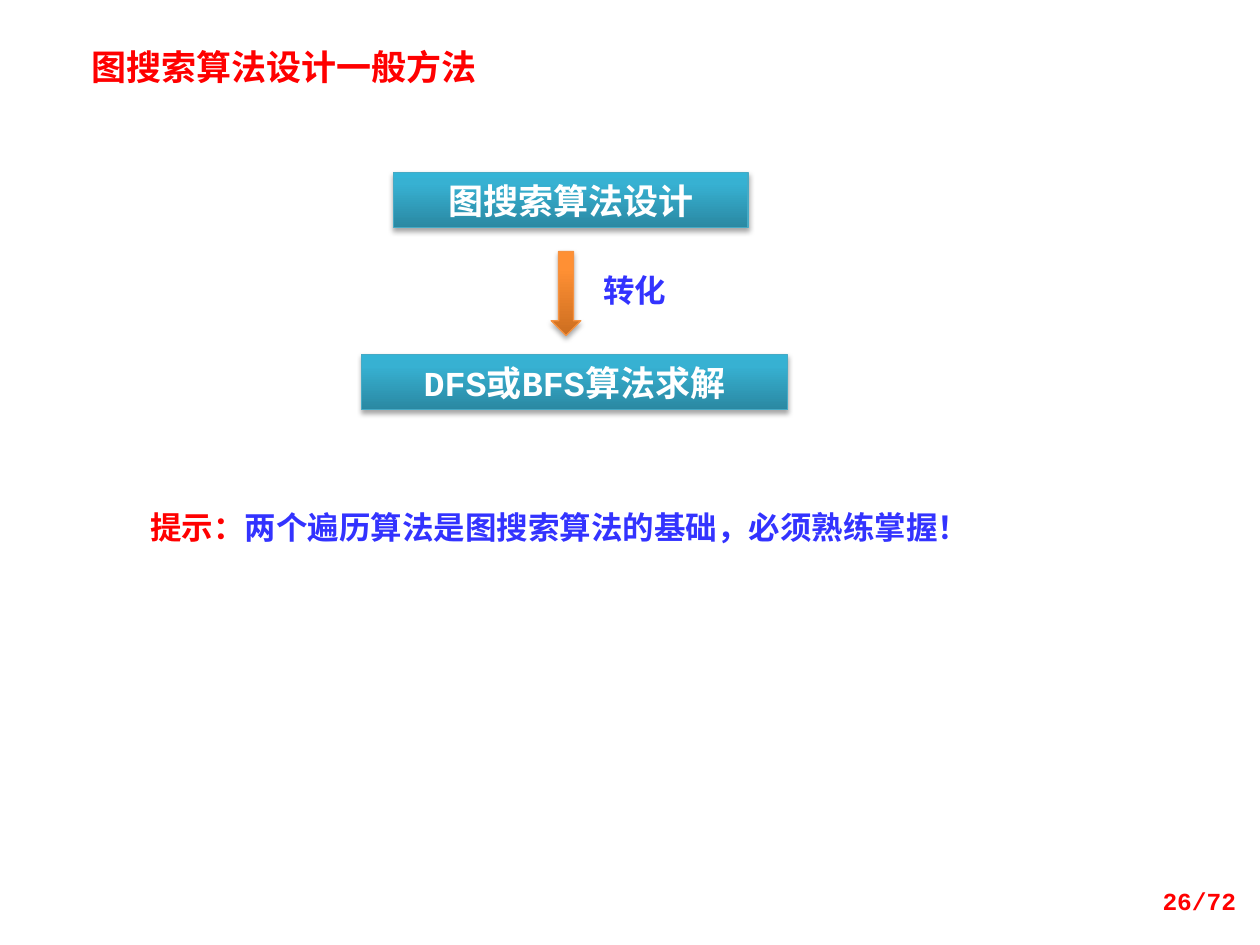
from lxml import etree
from pptx import Presentation
from pptx.dml.color import RGBColor
from pptx.enum.shapes import MSO_SHAPE
from pptx.enum.text import MSO_ANCHOR, MSO_AUTO_SIZE, PP_ALIGN
from pptx.oxml.ns import qn
from pptx.util import Pt

RECT, DOWN_ARROW = MSO_SHAPE.RECTANGLE, MSO_SHAPE.DOWN_ARROW
TOP, MIDDLE = MSO_ANCHOR.TOP, MSO_ANCHOR.MIDDLE
LEFT, CENTER, RIGHT = PP_ALIGN.LEFT, PP_ALIGN.CENTER, PP_ALIGN.RIGHT
FIT_SHAPE, NO_FIT = MSO_AUTO_SIZE.SHAPE_TO_FIT_TEXT, MSO_AUTO_SIZE.NONE

RED = RGBColor(0xFF, 0x00, 0x00)
BLUE = RGBColor(0x33, 0x33, 0xFF)
WHITE = RGBColor(0xFF, 0xFF, 0xFF)
BLACK = RGBColor(0x00, 0x00, 0x00)
TEAL_LINE = RGBColor(0x46, 0xAA, 0xC5)
TEAL_STOPS = [(0, RGBColor(0x2A, 0x88, 0xA2)), (80, RGBColor(0x37, 0xB1, 0xD2)),
              (100, RGBColor(0x34, 0xB4, 0xD6))]
ORANGE_LINE = RGBColor(0xF6, 0x92, 0x40)
ORANGE_STOPS = [(0, RGBColor(0xCC, 0x6E, 0x20)), (80, RGBColor(0xFF, 0x90, 0x34)),
                (100, RGBColor(0xFF, 0x91, 0x36))]

MONO, SANS = "Courier New", "Noto Sans CJK SC"


def write(sp, runs, size, font, align=LEFT, anchor=TOP, fit=FIT_SHAPE):
    """Fill a shape with one bold paragraph of (text, colour) runs."""
    tf = sp.text_frame
    frame_format = {"word_wrap": True, "auto_size": fit, "vertical_anchor": anchor}
    for name, value in frame_format.items():
        setattr(tf, name, value)
    p = tf.paragraphs[0]
    p.alignment = align
    for text, color in runs:
        r = p.add_run()
        r.text = text
        for name, value in {"name": font, "size": Pt(size), "bold": True}.items():
            setattr(r.font, name, value)
        r.font.color.rgb = color
        ea = etree.SubElement(r.font._element, qn("a:ea"))
        ea.set("typeface", SANS)


def add_glossy(kind, box, stops, line):
    """Add a shape with a vertical gradient and a soft shadow below it."""
    sp = s.shapes.add_shape(kind, *map(Pt, box))
    sp.fill.gradient()
    sp.fill.gradient_angle = 90
    sp.line.color.rgb = line
    sp.line.width = Pt(0.75)
    sp.shadow.inherit = False
    spPr = sp._element.spPr
    gs_list = spPr.find(qn("a:gradFill")).find(qn("a:gsLst"))
    for gs in list(gs_list):
        gs_list.remove(gs)
    for percent, color in stops:
        gs = etree.SubElement(gs_list, qn("a:gs"), pos=str(percent * 1000))
        etree.SubElement(gs, qn("a:srgbClr"), val=str(color))
    shadow = etree.SubElement(spPr.find(qn("a:effectLst")), qn("a:outerShdw"),
                              blurRad=str(Pt(3.1)), dist=str(Pt(1.8)),
                              dir="5400000", rotWithShape="0")
    clr = etree.SubElement(shadow, qn("a:srgbClr"), val=str(BLACK))
    etree.SubElement(clr, qn("a:alpha"), val="35000")
    return sp


prs = Presentation()
prs.slide_width, prs.slide_height = Pt(720), Pt(540)
s = prs.slides.add_slide(prs.slide_layouts[5])

# Title
title = s.shapes.title
title.left, title.top, title.width, title.height = map(Pt, (45, 22.5, 337.5, 31.5))
write(title, [("图搜索算法设计一般方法", RED)], 20, SANS)

# Problem box, arrow, solution box
steps = [("图搜索算法设计", (225, 98.6, 202.5, 31.5)),
         ("DFS或BFS算法求解", (206.6, 202.7, 243.4, 31.5))]
for text, box in steps:
    sp = add_glossy(RECT, box, TEAL_STOPS, TEAL_LINE)
    write(sp, [(text, WHITE)], 20, MONO, CENTER, MIDDLE)
add_glossy(DOWN_ARROW, (315, 143.7, 16.9, 48), ORANGE_STOPS, ORANGE_LINE)

# Arrow label, hint and page number
hint = [("提示：", RED), ("两个遍历算法是图搜索算法的基础，必须熟练掌握！", BLUE)]
labels = [((337.5, 151.2, 67.5, 29), [("转化", BLUE)], 18, SANS, LEFT, TOP, FIT_SHAPE),
          ((78.8, 286.8, 545.6, 29), hint, 18, MONO, LEFT, TOP, FIT_SHAPE),
          ((546, 500.5, 167.5, 28.8), [("26/72", RED)], 14, MONO, RIGHT, MIDDLE, NO_FIT)]
for box, *content in labels:
    write(s.shapes.add_textbox(*map(Pt, box)), *content)

prs.save("out.pptx")
